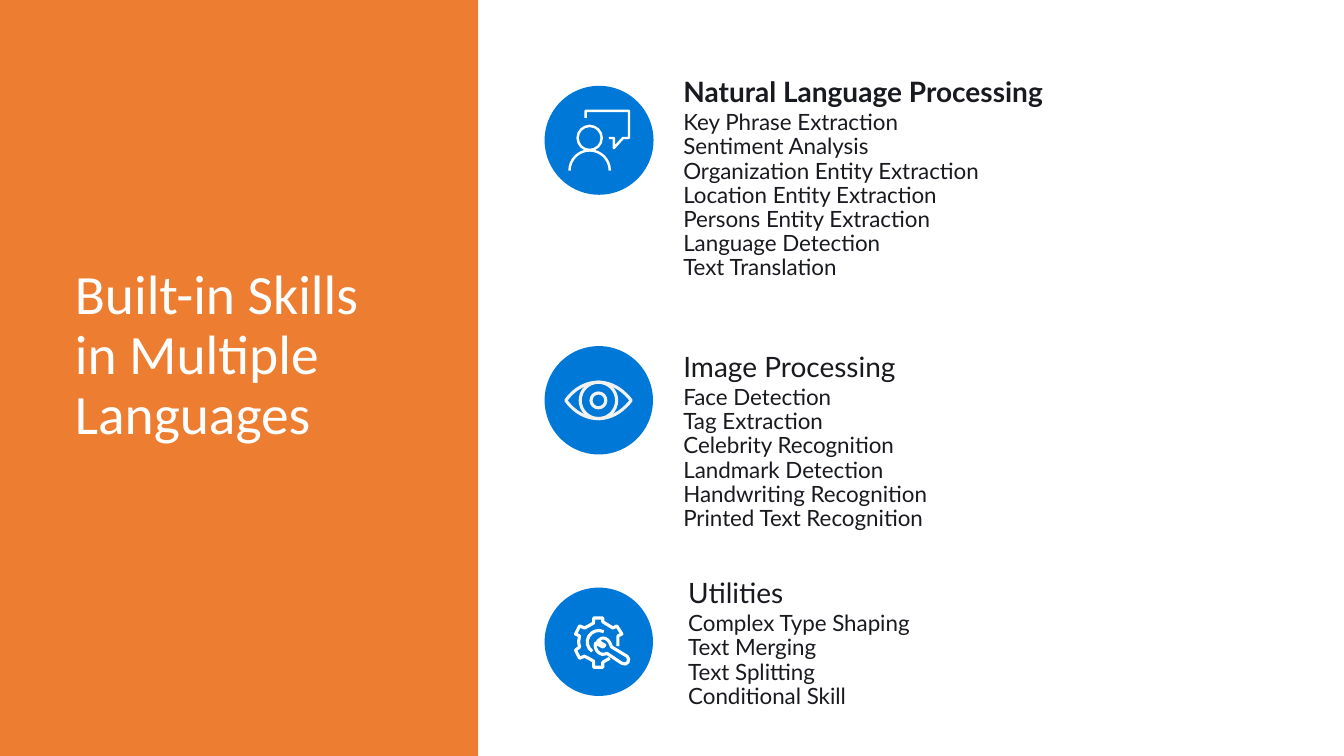
"""Builds a slide listing built-in skills in three groups beside a coloured title panel."""
import math

from lxml import etree
from pptx import Presentation
from pptx import util as u
from pptx.dml.color import RGBColor
from pptx.enum import shapes, text
from pptx.oxml import ns

COLORS = {"panel": "ED7D31", "badge": "0078D7", "ink": "191A1F",
          "white": "FFFFFF", "eye": "F2F2F2"}

GROUPS = [
    {"heading": "Natural Language Processing", "bold": True,
     "box": (473.7, 43.6, 407.5, 186.5), "insets": (14.4, 18),
     "badge": (389, 61.3, 77.8),
     "skills": ["Key Phrase Extraction", "Sentiment Analysis",
                "Organization Entity Extraction", "Location Entity Extraction",
                "Persons Entity Extraction", "Language Detection",
                "Text Translation"]},
    {"heading": "Image Processing", "bold": False,
     "box": (473.7, 240.3, 424.1, 168.5), "insets": (14.4, 14.4),
     "badge": (389, 247.2, 77.4),
     "skills": ["Face Detection", "Tag Extraction", "Celebrity Recognition",
                "Landmark Detection", "Handwriting Recognition",
                "Printed Text Recognition"]},
    {"heading": "Utilities", "bold": False,
     "box": (473.6, 401.8, 383.8, 133.9), "insets": (18, 14.4),
     "badge": (389, 419.7, 77.4),
     "skills": ["Complex Type Shaping", "Text Merging", "Text Splitting",
                "Conditional Skill"]},
]


def color(name):
    """Return the named colour."""
    return RGBColor.from_string(COLORS[name])


def polyline(*points):
    """Return a start point and one straight segment for each further point."""
    return points[0], [[p] for p in points[1:]]


def arc(cx, cy, r, start=0, end=360):
    """Return a start point and curve segments of an arc, in degrees."""
    count = math.ceil(abs(end - start) / 90)
    step = math.radians(end - start) / count
    k = 4 / 3 * math.tan(step / 4)

    def point(a, pull):
        return (cx + r * (math.cos(a) - pull * math.sin(a)),
                cy + r * (math.sin(a) + pull * math.cos(a)))

    angles = [math.radians(start) + step * i for i in range(count + 1)]
    return point(angles[0], 0), [[point(a, k), point(b, -k), point(b, 0)]
                                 for a, b in zip(angles, angles[1:])]


def speaker_contours():
    """Return a person with a speech bubble as (contour, closed) pairs."""
    bubble = polyline((418.3, 84.2), (418.3, 79.2), (449.3, 79.2), (449.3, 98.6),
                      (445, 98.6), (438.5, 105.8), (438.5, 98.6), (434.9, 98.6))
    return [(bubble, False), (arc(421.2, 98.6, 8.6), True),
            (arc(421.2, 121.9, 14.4, 180, 360), False)]


def eye_contours():
    """Return an eye as (contour, closed) pairs."""
    cx, cy, r = 427.5, 286, 13
    left, right = (404.2, cy), (450.8, cy)
    outline = (left, [[(407, cy - 4), (414.7, cy - r), (cx, cy - r)],
                      [(442.1, cy - r), right, right],
                      [right, (442.1, cy + r), (cx, cy + r)],
                      [(414.7, cy + r), (407, cy + 4), left]])
    return [(outline, True), (arc(cx, cy, r), True), (arc(cx, cy, 5.3), True)]


def gear_contours():
    """Return a gear with a wrench as (contour, closed) pairs."""
    rim = polyline(
        (435.6, 470.2), (430.6, 473), (430.6, 476.6), (424.1, 476.6),
        (424.1, 472.3), (417.6, 468.7), (414, 470.2), (411.1, 464.4),
        (414, 462.2), (413.3, 458.6), (414, 454.3), (411.1, 452.9),
        (414, 447.1), (417.6, 448.6), (424.1, 445), (424.1, 441.4),
        (430.6, 441.4), (430.6, 444.2), (437.8, 448.6), (440.6, 447.1),
        (444.2, 452.9), (441.4, 454.3), (441.4, 461.5))
    wrench = ((433.4, 466.6), [
        [(444.2, 473.8)],
        [(446, 474.8), (447.8, 474.5), (448.6, 473)],
        [(449.3, 471.6), (449.3, 469.4), (447.8, 468.7)],
        [(437, 462.2)], [(436.3, 460.8)],
        [(435.6, 457.9), (432.7, 455), (429.8, 455.8)],
        [(427, 457.9)], [(432, 460.8)], [(430.6, 462.2)], [(425.5, 459.4)],
        [(425.2, 460.5), (424.8, 461.5), (425.5, 463)],
        [(426.2, 465.8), (429.1, 468), (432, 467.3)]])
    return [(rim, False), (arc(427.7, 458.6, 8.2, -64, -235), False),
            (wrench, True)]


def add_filled(s, kind, box, fill):
    """Add a plain filled shape without outline or shadow."""
    sp = s.shapes.add_shape(kind, *map(u.Pt, box))
    sp.shadow.inherit = False
    sp.fill.solid()
    sp.fill.fore_color.rgb = color(fill)
    sp.line.fill.background()
    return sp


def bend(sp, segments):
    """Turn each three-point segment of a freeform into one cubic curve."""
    lines = iter(list(sp.element.iter(ns.qn("a:lnTo"))))
    for segment in segments:
        group = [next(lines) for _ in segment]
        if len(group) == 3:
            cubic = etree.Element(ns.qn("a:cubicBezTo"))
            group[0].addprevious(cubic)
            for line in group:
                cubic.append(line[0])
                line.getparent().remove(line)


def add_icon(s, contours, line, width):
    """Add an unfilled line icon made of several contours."""
    def scaled(point):
        return tuple(100 * v for v in point)

    builder = s.shapes.build_freeform(*scaled(contours[0][0][0]),
                                      scale=u.Pt(1) / 100)
    for i, ((start, segments), closed) in enumerate(contours):
        if i:
            builder.move_to(*scaled(start))
        builder.add_line_segments([scaled(p) for seg in segments for p in seg],
                                  close=closed)
    sp = builder.convert_to_shape()
    bend(sp, [seg for (_, segments), _ in contours for seg in segments])
    sp.shadow.inherit = False
    sp.fill.background()
    sp.line.color.rgb = color(line)
    sp.line.width = u.Pt(width)


def add_run(p, words, font, size, ink, bold=False):
    """Add one formatted run to a paragraph."""
    r = p.add_run()
    r.text = words
    r.font.name, r.font.size, r.font.bold = font, u.Pt(size), bold
    r.font.color.rgb = color(ink)


def add_skills(s, group):
    """Add a heading with its list of skills."""
    tf = s.shapes.add_textbox(*map(u.Pt, group["box"])).text_frame
    tf.word_wrap = True
    tf.auto_size = text.MSO_AUTO_SIZE.SHAPE_TO_FIT_TEXT
    tf.vertical_anchor = text.MSO_ANCHOR.MIDDLE
    tf.margin_left, tf.margin_right = map(u.Pt, group["insets"])
    tf.margin_top, tf.margin_bottom = u.Pt(11.5), u.Pt(28.8)
    heading, skills = tf.paragraphs[0], tf.add_paragraph()
    for p in (heading, skills):
        p.line_spacing = 0.9
        p.space_before = u.Pt(2)
    add_run(heading, group["heading"], "Lato", 20, "ink", group["bold"])
    for i, skill in enumerate(group["skills"]):
        if i:
            skills.add_line_break()
        add_run(skills, skill, "Lato", 16, "ink")


def add_title(s, words):
    """Add the side panel and place the title on it."""
    panel = add_filled(s, shapes.MSO_SHAPE.RECTANGLE, (0, 0, 341.5, 540), "panel")
    title = s.shapes.title
    title.left, title.top, title.width, title.height = map(
        u.Pt, (46.3, 189.4, 244.8, 131))
    panel.element.addnext(title.element)
    tf = title.text_frame
    tf.word_wrap = True
    tf.auto_size = text.MSO_AUTO_SIZE.NONE
    tf.vertical_anchor = text.MSO_ANCHOR.MIDDLE
    p = tf.paragraphs[0]
    p.alignment = text.PP_ALIGN.LEFT
    p.line_spacing = 0.9
    add_run(p, words, "Calibri", 39.6, "white")


def main():
    """Build and save the slide."""
    prs = Presentation()
    prs.slide_width, prs.slide_height = u.Pt(960), u.Pt(540)
    s = prs.slides.add_slide(prs.slide_layouts[5])
    icons = [(speaker_contours(), "white", 1.75), (eye_contours(), "eye", 2.25),
             (gear_contours(), "white", 2.25)]
    for group, icon in zip(GROUPS, icons):
        left, top, size = group["badge"]
        add_skills(s, group)
        add_filled(s, shapes.MSO_SHAPE.OVAL, (left, top, size, size), "badge")
        add_icon(s, *icon)
    add_title(s, "Built-in Skills in Multiple Languages")
    prs.save("out.pptx")


if __name__ == "__main__":
    main()
